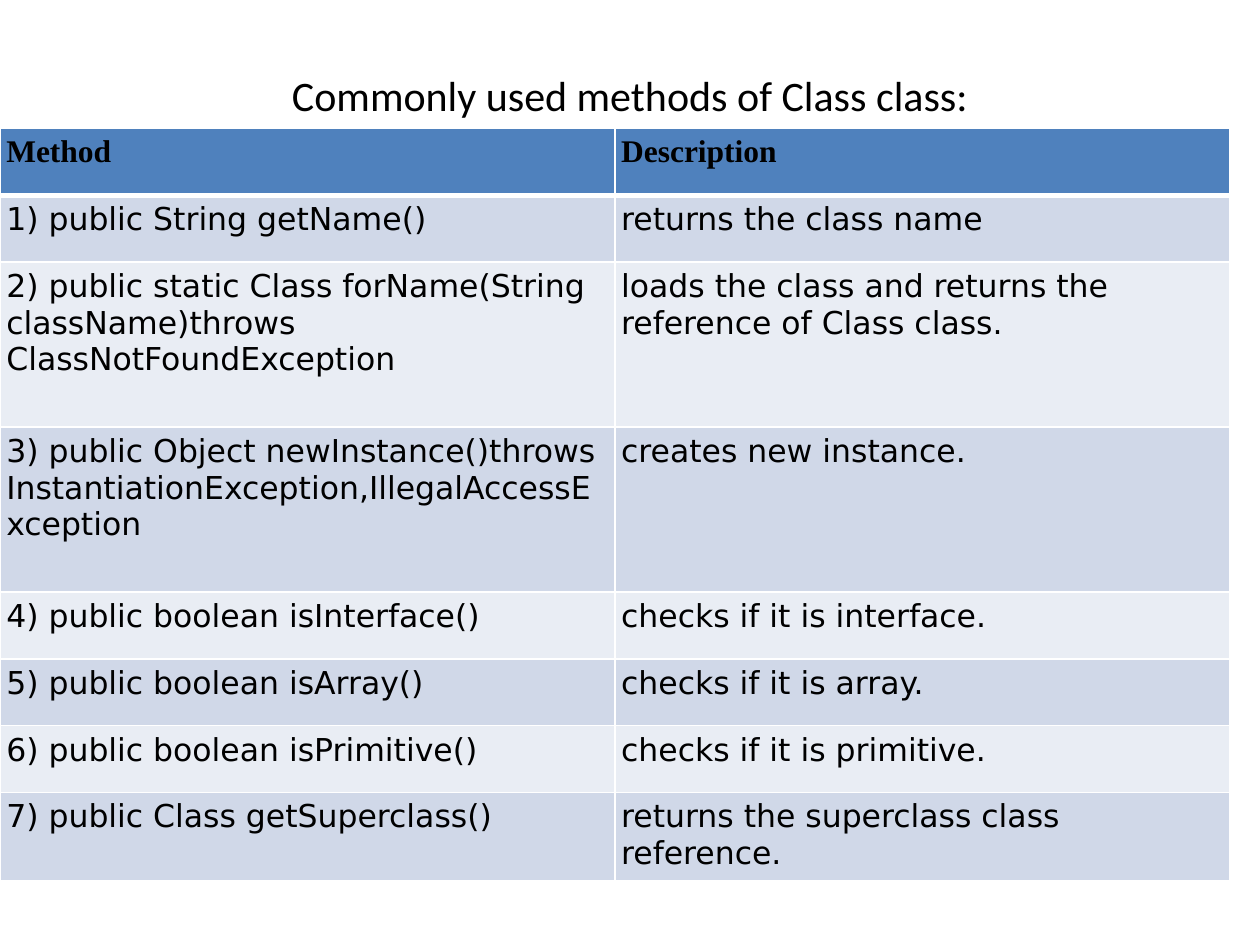
from typing import NamedTuple

from lxml.etree import SubElement
from pptx import Presentation
from pptx.dml.color import RGBColor
from pptx.enum.text import MSO_ANCHOR, PP_ALIGN
from pptx.oxml.ns import qn
from pptx.util import Inches, Pt

WIDE, HIGH = 10, 7.5
COL = 4.88
ROW = 0.53
PAD = 0.05
TOP = 1.02
HUES = {
    "ink": "000000",
    "line": "FFFFFF",
    "head": "4F81BD",
    "odd": "D0D8E8",
    "even": "E9EDF4",
}


class Entry(NamedTuple):
    method: str
    about: str
    high: float = ROW


class Face(NamedTuple):
    name: str
    size: int
    bold: bool = False


TITLE = Face("Calibri", 24)
HEAD = Face("Times New Roman", 18, True)
BODY = Face("DejaVu Sans", 18)

ENTRIES = [
    Entry("Method", "Description"),
    Entry("1) public String getName()", "returns the class name"),
    Entry(
        "2) public static Class forName(String className)throws ClassNotFoundException",
        "loads the class and returns the reference of Class class.",
        1.31,
    ),
    Entry(
        "3) public Object newInstance()throws InstantiationException,IllegalAccessException",
        "creates new instance.",
        1.31,
    ),
    Entry("4) public boolean isInterface()", "checks if it is interface."),
    Entry("5) public boolean isArray()", "checks if it is array."),
    Entry("6) public boolean isPrimitive()", "checks if it is primitive."),
    Entry("7) public Class getSuperclass()", "returns the superclass class reference.", 0.6),
]


def add_run(para, text: str, face: Face) -> None:
    run = para.add_run()
    run.text = text
    run.font.name = face.name
    run.font.size = Pt(face.size)
    run.font.bold = face.bold
    run.font.color.rgb = RGBColor.from_string(HUES["ink"])


def add_title(slide, text: str) -> None:
    box = slide.shapes.add_textbox(
        Inches(WIDE * 0.05), Inches(HIGH * 0.04), Inches(WIDE * 0.9), Inches(1.25)
    )
    frame = box.text_frame
    frame.word_wrap = True
    frame.vertical_anchor = MSO_ANCHOR.MIDDLE
    frame.margin_bottom = Inches(0.4)
    para = frame.paragraphs[0]
    para.alignment = PP_ALIGN.CENTER
    add_run(para, text, TITLE)


def add_edge(cell, side: str, width: float) -> None:
    props = cell._tc.get_or_add_tcPr()
    line = SubElement(props, qn(f"a:ln{side}"), w=str(Pt(width)))
    fill = SubElement(line, qn("a:solidFill"))
    SubElement(fill, qn("a:srgbClr"), val=HUES["line"])


def fill_cell(cell, text: str, row: int) -> None:
    cell.margin_left = cell.margin_right = Inches(PAD)
    cell.margin_top = cell.margin_bottom = Inches(PAD)
    add_edge(cell, "L", 1)
    add_edge(cell, "R", 1)
    add_edge(cell, "T", 3 if row == 1 else 1)
    add_edge(cell, "B", 3 if row == 0 else 1)
    hue = "head" if row == 0 else "odd" if row % 2 else "even"
    cell.fill.solid()
    cell.fill.fore_color.rgb = RGBColor.from_string(HUES[hue])
    add_run(cell.text_frame.paragraphs[0], text, BODY if row else HEAD)


def add_grid(slide, entries: list[Entry]) -> None:
    high = sum(entry.high for entry in entries)
    table = slide.shapes.add_table(
        len(entries), 2, 0, Inches(TOP), Inches(2 * COL), Inches(high)
    ).table
    for col in table.columns:
        col.width = Inches(COL)
    for row, entry in enumerate(entries):
        table.rows[row].height = Inches(entry.high)
        for col, text in enumerate((entry.method, entry.about)):
            fill_cell(table.cell(row, col), text, row)


def main() -> None:
    deck = Presentation()
    deck.slide_width, deck.slide_height = Inches(WIDE), Inches(HIGH)
    slide = deck.slides.add_slide(deck.slide_layouts[6])
    add_title(slide, "Commonly used methods of Class class:")
    add_grid(slide, ENTRIES)
    deck.save("out.pptx")


if __name__ == "__main__":
    main()
